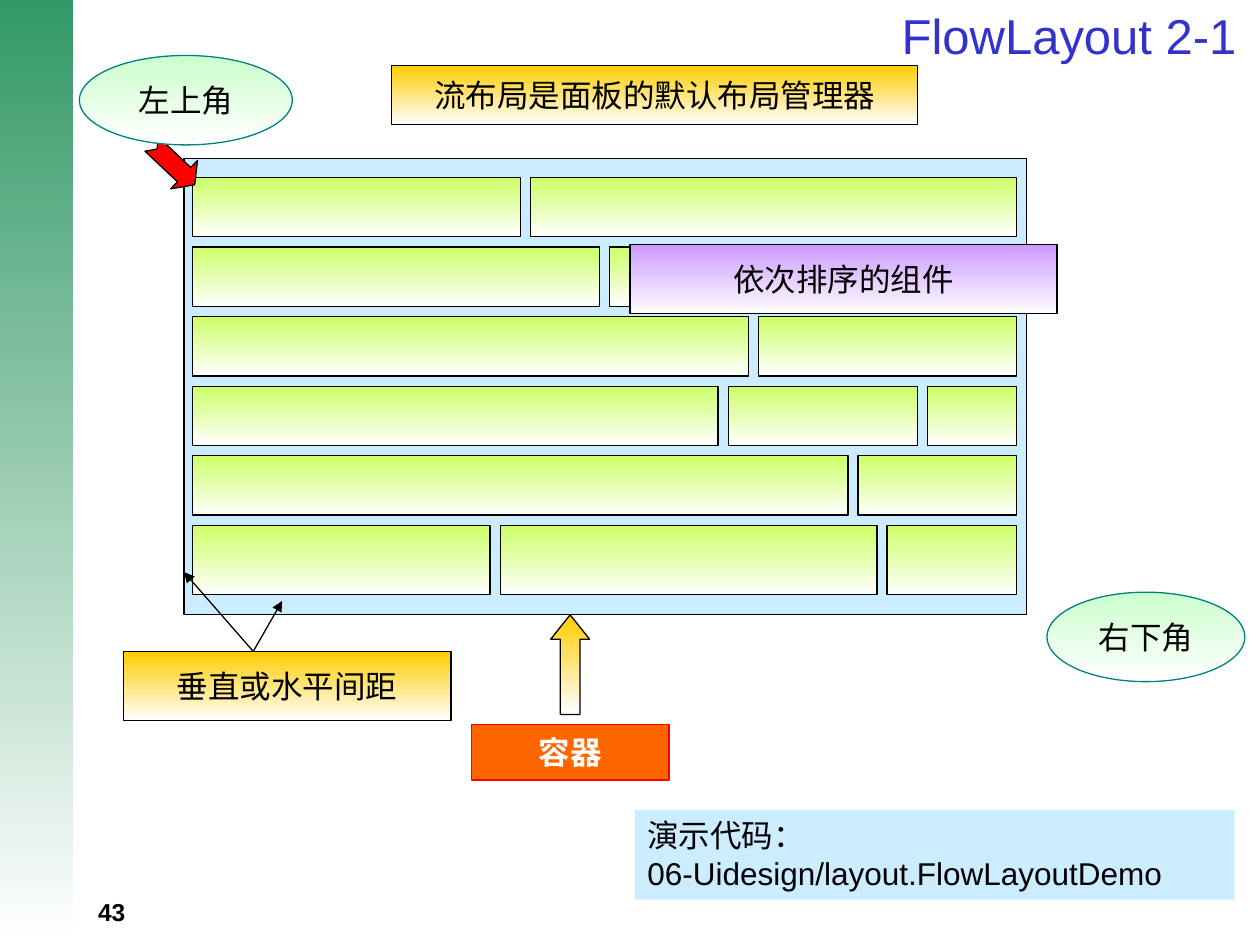
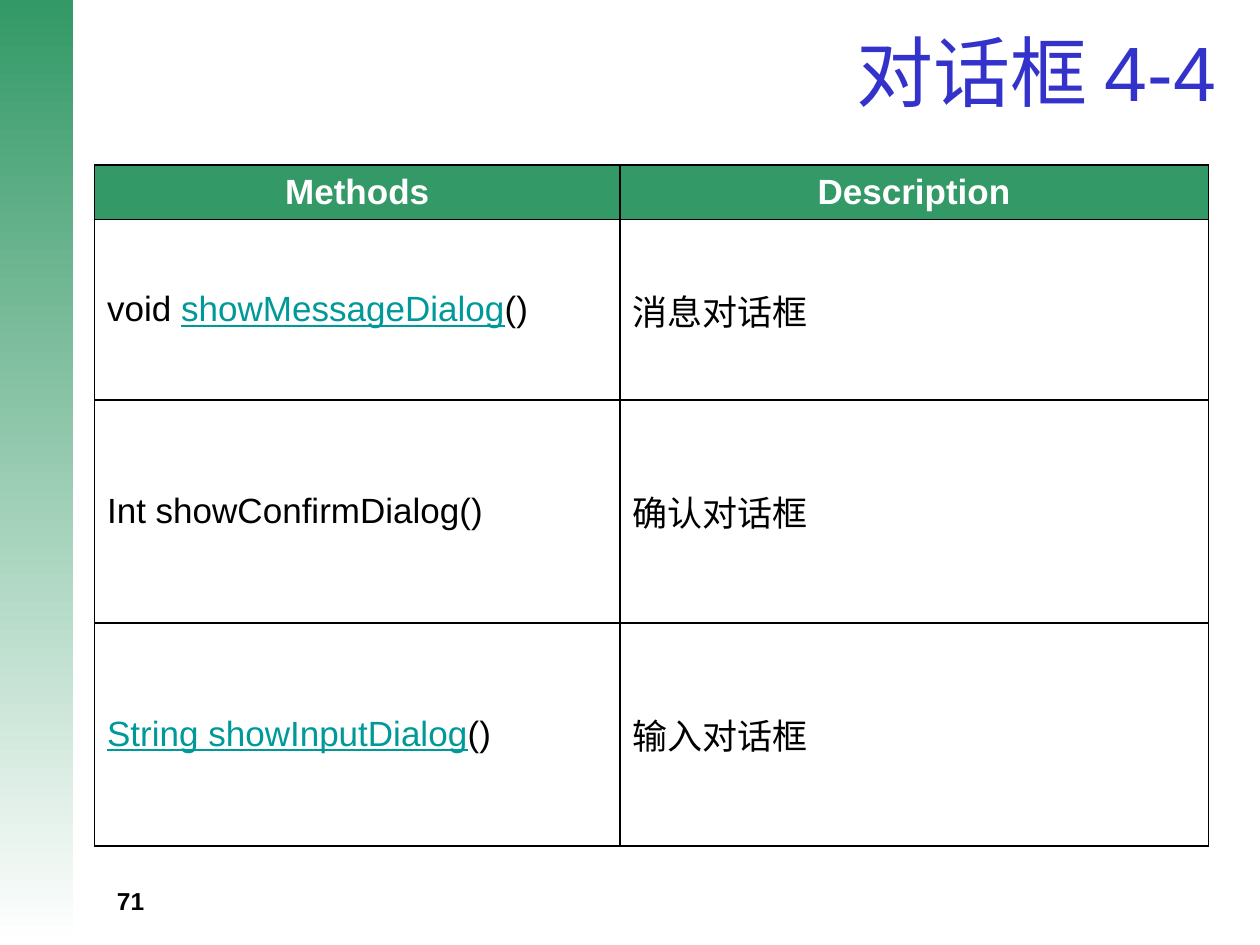
from pptx import Presentation
from pptx.dml.color import RGBColor
from pptx.enum.shapes import MSO_CONNECTOR, MSO_SHAPE as SHAPE
from pptx.enum.text import MSO_ANCHOR as ANCHOR, MSO_AUTO_SIZE, PP_ALIGN as ALIGN
from pptx.oxml.ns import qn
from pptx.util import Inches, Pt
from lxml.etree import SubElement

FONT = "Arial"
LABEL_SIZE = 18
COLORS = {
    "white": "FFFFFF", "black": "000000", "green": "339966", "title": "3333CC",
    "pale_blue": "CCECFF", "lime": "CCFF66", "gold": "FFCC00", "mint": "CCFFCC",
    "teal": "008080", "lilac": "CC99FF", "orange": "FF6600", "red": "FF0000",
    "link": "009999",
}

COMPONENT_ROWS = [[2.6], [3.23], [4.41], [4.17, 1.5], [5.2], [2.36, 2.99]]
METHODS = [
    ([("void ", False), ("showMessageDialog", True), ("()", False)], "消息对话框"),
    ([("Int showConfirmDialog()", False)], "确认对话框"),
    ([("String showInputDialog", True), ("()", False)], "输入对话框"),
]


def rgb(color):
    """Return the named palette colour."""
    return RGBColor.from_string(COLORS[color])


def style_run(run, size, color="black", bold=False, underline=False):
    """Apply the deck font to one run."""
    font = run.font
    font.name, font.size, font.bold = FONT, Pt(size), bold
    font.underline = underline
    font.color.rgb = rgb(color)


def write(frame, text, size, color="black", bold=False, align=ALIGN.LEFT):
    """Fill a text frame with uniformly styled text."""
    frame.text = text
    for paragraph in frame.paragraphs:
        paragraph.alignment = align
        for run in paragraph.runs:
            style_run(run, size, color, bold)


def add_text(slide, box, text, size, color="black", bold=False,
             align=ALIGN.LEFT, anchor=ANCHOR.TOP):
    """Add a wrapped text box."""
    frame = slide.shapes.add_textbox(*map(Inches, box)).text_frame
    frame.word_wrap = True
    frame.vertical_anchor = anchor
    write(frame, text, size, color, bold, align)


def add_block(slide, box, color, fade=True, line="black", kind=SHAPE.RECTANGLE):
    """Add a shape, solid or fading down to white, with an optional outline."""
    block = slide.shapes.add_shape(kind, *map(Inches, box))
    block.shadow.inherit = False
    if fade:
        block.fill.gradient()
        block.fill.gradient_angle = 270
        for stop, position, shade in zip(block.fill.gradient_stops, (0, 1), (color, "white")):
            stop.position = position
            stop.color.rgb = rgb(shade)
    else:
        block.fill.solid()
        block.fill.fore_color.rgb = rgb(color)
    if line:
        block.line.color.rgb = rgb(line)
        block.line.width = Pt(0.75)
    else:
        block.line.fill.background()
    return block


def add_label(slide, box, text, color, text_color="black", bold=False, **look):
    """Add a shape with a centred caption."""
    frame = add_block(slide, box, color, **look).text_frame
    frame.word_wrap = False
    frame.vertical_anchor = ANCHOR.MIDDLE
    write(frame, text, LABEL_SIZE, text_color, bold, ALIGN.CENTER)


def add_block_arrow(slide, box, kind, head, color, fade=True, rotation=0):
    """Add a block arrow with a given head length ratio."""
    arrow = add_block(slide, box, color, fade, kind=kind)
    arrow.adjustments[0], arrow.adjustments[1] = 0.5, head
    arrow.rotation = rotation


def add_pointer(slide, start, tip):
    """Add a thin line ending in an arrowhead."""
    pointer = slide.shapes.add_connector(MSO_CONNECTOR.STRAIGHT, *map(Inches, start + tip))
    pointer.line.color.rgb = rgb("black")
    pointer.line.width = Pt(0.75)
    SubElement(pointer.line._get_or_add_ln(), qn("a:tailEnd"), type="triangle")
    SubElement(pointer._element.spPr, qn("a:effectLst"))


def add_page(deck, title, title_box, title_size, number, number_at):
    """Add a slide with the side band, page number and title."""
    slide = deck.slides.add_slide(deck.slide_layouts[6])
    add_block(slide, (0, 0, 0.58, 7.5), "green", line=None)
    add_text(slide, (*number_at, 2.33, 0.24), number, 14, bold=True)
    add_text(slide, title_box, title, title_size, "title", align=ALIGN.RIGHT,
             anchor=ANCHOR.MIDDLE)
    return slide


def add_components(slide):
    """Lay the components out in rows that end at a common right edge."""
    left, right, top, last_top, gap = 1.53, 8.07, 1.41, 4.17, 0.08
    pitch = (last_top - top) / (len(COMPONENT_ROWS) - 1)
    for index, widths in enumerate(COMPONENT_ROWS):
        x, y = left, top + index * pitch
        height = 0.55 if index == len(COMPONENT_ROWS) - 1 else 0.47
        for width in widths:
            add_block(slide, (x, y, width, height), "lime")
            x += width + gap
        add_block(slide, (x, y, right - x, height), "lime")


def format_cell(cell, color):
    """Give a cell black borders, a fill and middle anchoring."""
    properties = cell._tc.get_or_add_tcPr()
    for side in ("lnL", "lnR", "lnT", "lnB"):
        border = SubElement(properties, qn(f"a:{side}"), w=str(Pt(1)))
        fill = SubElement(border, qn("a:solidFill"))
        SubElement(fill, qn("a:srgbClr"), val=COLORS["black"])
    cell.fill.solid()
    cell.fill.fore_color.rgb = rgb(color)
    cell.vertical_anchor = ANCHOR.MIDDLE


def add_method_table(slide):
    """Add the table of dialog methods."""
    widths, heights = (4.17, 4.67), (0.43, 1.43, 1.77, 1.77)
    table = slide.shapes.add_table(
        len(heights), len(widths), Inches(0.75), Inches(1.31),
        Inches(sum(widths)), Inches(sum(heights))).table
    table.horz_banding = False
    for column, width in zip(table.columns, widths):
        column.width = Inches(width)
    for row, height in zip(table.rows, heights):
        row.height = Inches(height)
    for index, heading in enumerate(("Methods", "Description")):
        cell = table.cell(0, index)
        format_cell(cell, "green")
        write(cell.text_frame, heading, 20, "white", True, ALIGN.CENTER)
    for row, (signature, description) in enumerate(METHODS, 1):
        method, meaning = table.cell(row, 0), table.cell(row, 1)
        format_cell(method, "white")
        format_cell(meaning, "white")
        for text, linked in signature:
            run = method.text_frame.paragraphs[0].add_run()
            run.text = text
            style_run(run, 20, "link" if linked else "black", underline=linked)
        write(meaning.text_frame, description, 20)


def build_flow_layout(deck):
    """Build the slide that explains FlowLayout."""
    slide = add_page(deck, "FlowLayout 2-1", (0.5, 0, 9.41, 0.55), 28, "43", (0.68, 7.07))
    add_block(slide, (1.46, 1.26, 6.69, 3.62), "pale_blue", fade=False)
    add_components(slide)
    add_label(slide, (3.74, 5.75, 1.57, 0.44), "容器", "orange", "white", True,
              fade=False, line="red")
    add_block_arrow(slide, (4.37, 4.88, 0.31, 0.79), SHAPE.UP_ARROW, 0.626, "gold")
    add_label(slide, (3.11, 0.52, 4.17, 0.47), "流布局是面板的默认布局管理器", "gold")
    add_block_arrow(slide, (1.14, 1.15, 0.47, 0.31), SHAPE.NOTCHED_RIGHT_ARROW, 0.376,
                    "red", fade=False, rotation=43.3)
    for box, corner in (((0.63, 0.44, 1.69, 0.71), "左上角"),
                        ((8.31, 4.7, 1.57, 0.71), "右下角")):
        add_label(slide, box, corner, "mint", line="teal", kind=SHAPE.OVAL)
    add_label(slide, (5, 1.94, 3.39, 0.55), "依次排序的组件", "lilac")
    add_label(slide, (0.98, 5.17, 2.6, 0.55), "垂直或水平间距", "gold")
    for tip in ((2.24, 4.77), (1.46, 4.54)):
        add_pointer(slide, (2.01, 5.17), tip)
    demo = add_block(slide, (5.04, 6.43, 4.76, 0.71), "pale_blue", fade=False, line=None)
    demo.text_frame.word_wrap = True
    demo.text_frame.auto_size = MSO_AUTO_SIZE.SHAPE_TO_FIT_TEXT
    demo.text_frame.vertical_anchor = ANCHOR.TOP
    write(demo.text_frame, "演示代码：\n06-Uidesign/layout.FlowLayoutDemo", LABEL_SIZE)


def build_dialogs(deck):
    """Build the slide that lists the dialog methods."""
    slide = add_page(deck, "对话框 4-4", (0.75, 0.13, 9, 0.87), 44, "71", (0.83, 6.98))
    add_method_table(slide)


def main():
    """Build and save the deck."""
    deck = Presentation()
    deck.slide_width, deck.slide_height = Inches(10), Inches(7.5)
    build_flow_layout(deck)
    build_dialogs(deck)
    deck.save("out.pptx")


if __name__ == "__main__":
    main()
